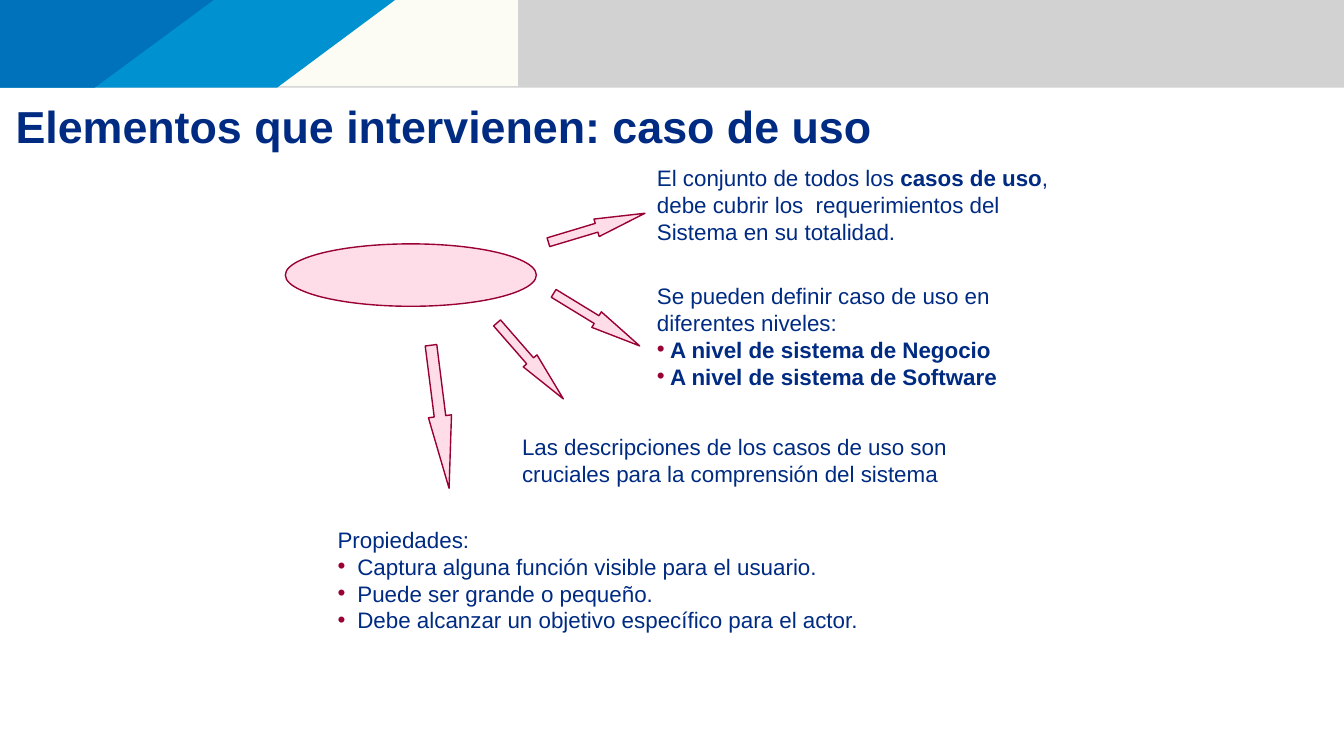
"""Builds the slide about the use case element and its properties."""
from lxml import etree
from pptx import Presentation
from pptx.dml.color import RGBColor
from pptx.enum.shapes import MSO_SHAPE
from pptx.oxml.ns import qn
from pptx.util import Pt

OVAL, ARROW, RECTANGLE = MSO_SHAPE.OVAL, MSO_SHAPE.RIGHT_ARROW, MSO_SHAPE.RECTANGLE

THEME = {
    "font": "Arial", "title_size": 32, "body_size": 16, "line_pitch": 19.2,
    "navy": "002B82", "wine": "990033", "pink": "FFDDE8",
    "grey": "D2D2D3", "cream": "FCFBF4", "sky": "0091D1", "blue": "0071BB",
}

SLIDE_SIZE = (960, 540)
BAND_HEIGHT = 62.6
BANDS = [("grey", 960, BAND_HEIGHT), ("cream", 370, 61.6)]
SLANTS = [("sky", 282.2, 198), ("blue", 152.6, 67.7)]

TITLE = ("Elementos que intervienen: caso de uso", (4, 67, 660, 45.4))

USE_CASE = (203.8, 174.2, 179.3, 44.6)
ARROWS = [
    ((390.2, 156.2, 72, 13), 343.3, 2.77),
    ((390.2, 221.8, 72, 13), 31.4, 2.77),
    ((342.7, 251.3, 72, 13), 48.9, 2.77),
    ((262.8, 289.4, 103, 16.6), 82.8, 3.12),
]

NOTES = [
    ((462.2, 113.8, 307.4, 64.8), 0, [
        (False, [("El conjunto de todos los ", False), ("casos de uso", True),
                 (",\vdebe cubrir los  requerimientos del Sistema en su totalidad.", False)]),
    ]),
    ((462.2, 198, 307.4, 84.2), 9.4, [
        (False, [("Se pueden definir caso de uso en diferentes niveles:", False)]),
        (True, [("A nivel de sistema de Negocio", True)]),
        (True, [("A nivel de sistema de Software", True)]),
    ]),
    ((365.8, 306, 321.1, 46), 0, [
        (False, [("Las descripciones de los casos de uso son\v"
                  "cruciales para la comprensión del sistema", False)]),
    ]),
    ((234, 372.2, 396.7, 84.2), 14.2, [
        (False, [("Propiedades:", False)]),
        (True, [("Captura alguna función visible para el usuario.", False)]),
        (True, [("Puede ser grande o pequeño.", False)]),
        (True, [("Debe alcanzar un objetivo específico para el actor.", False)]),
    ]),
]


def color(name):
    return RGBColor.from_string(THEME[name])


def paint(shape, fill, line=None):
    shape.shadow.inherit = False
    shape.fill.solid()
    shape.fill.fore_color.rgb = color(fill)
    if line:
        shape.line.color.rgb = color(line)
        shape.line.width = Pt(1)
    else:
        shape.line.fill.background()


def add_preset(page, kind, frame, fill, line=None):
    shape = page.shapes.add_shape(kind, *map(Pt, frame))
    paint(shape, fill, line)
    return shape


def add_slant(page, fill, top_width, bottom_width):
    builder = page.shapes.build_freeform(0, 0)
    corners = [(top_width, 0), (bottom_width, BAND_HEIGHT), (0, BAND_HEIGHT)]
    builder.add_line_segments([(Pt(x), Pt(y)) for x, y in corners], close=True)
    paint(builder.convert_to_shape(), fill)


def add_box(page, frame):
    box = page.shapes.add_textbox(*map(Pt, frame))
    box.text_frame.word_wrap = True
    return box.text_frame


def add_span(para, text, size, bold):
    para.add_run()
    span = para.runs[-1]
    span.text = text
    formats = {"name": THEME["font"], "size": Pt(THEME[size]), "bold": bold}
    for key, value in formats.items():
        setattr(span.font, key, value)
    span.font.color.rgb = color("navy")


def add_spans(para, text, bold):
    for index, line in enumerate(text.split("\v")):
        if index:
            para.add_line_break()
        add_span(para, line, "body_size", bold)


def add_bullet(para, indent):
    properties = para._p.get_or_add_pPr()
    properties.set("marL", str(Pt(indent)))
    properties.set("indent", str(-Pt(indent)))
    bullet_color = etree.SubElement(properties, qn("a:buClr"))
    etree.SubElement(bullet_color, qn("a:srgbClr"), val=THEME["wine"])
    etree.SubElement(properties, qn("a:buFont"), typeface=THEME["font"])
    etree.SubElement(properties, qn("a:buChar"), char="•")


def add_note(page, frame, indent, paragraphs):
    text_frame = add_box(page, frame)
    for index, (bulleted, spans) in enumerate(paragraphs):
        para = text_frame.add_paragraph() if index else text_frame.paragraphs[0]
        para.line_spacing = Pt(THEME["line_pitch"])
        if bulleted:
            add_bullet(para, indent)
        for text, bold in spans:
            add_spans(para, text, bold)


def main():
    deck = Presentation()
    deck.slide_width, deck.slide_height = map(Pt, SLIDE_SIZE)
    page = deck.slides.add_slide(deck.slide_layouts[6])
    for fill, width, height in BANDS:
        add_preset(page, RECTANGLE, (0, 0, width, height), fill)
    for slant in SLANTS:
        add_slant(page, *slant)
    title, title_frame = TITLE
    add_span(add_box(page, title_frame).paragraphs[0], title, "title_size", True)
    add_preset(page, OVAL, USE_CASE, "pink", "wine")
    for frame, angle, head_ratio in ARROWS:
        arrow = add_preset(page, ARROW, frame, "pink", "wine")
        arrow.rotation = angle
        arrow.adjustments[1] = head_ratio
    for note in NOTES:
        add_note(page, *note)
    deck.save("out.pptx")


if __name__ == "__main__":
    main()
